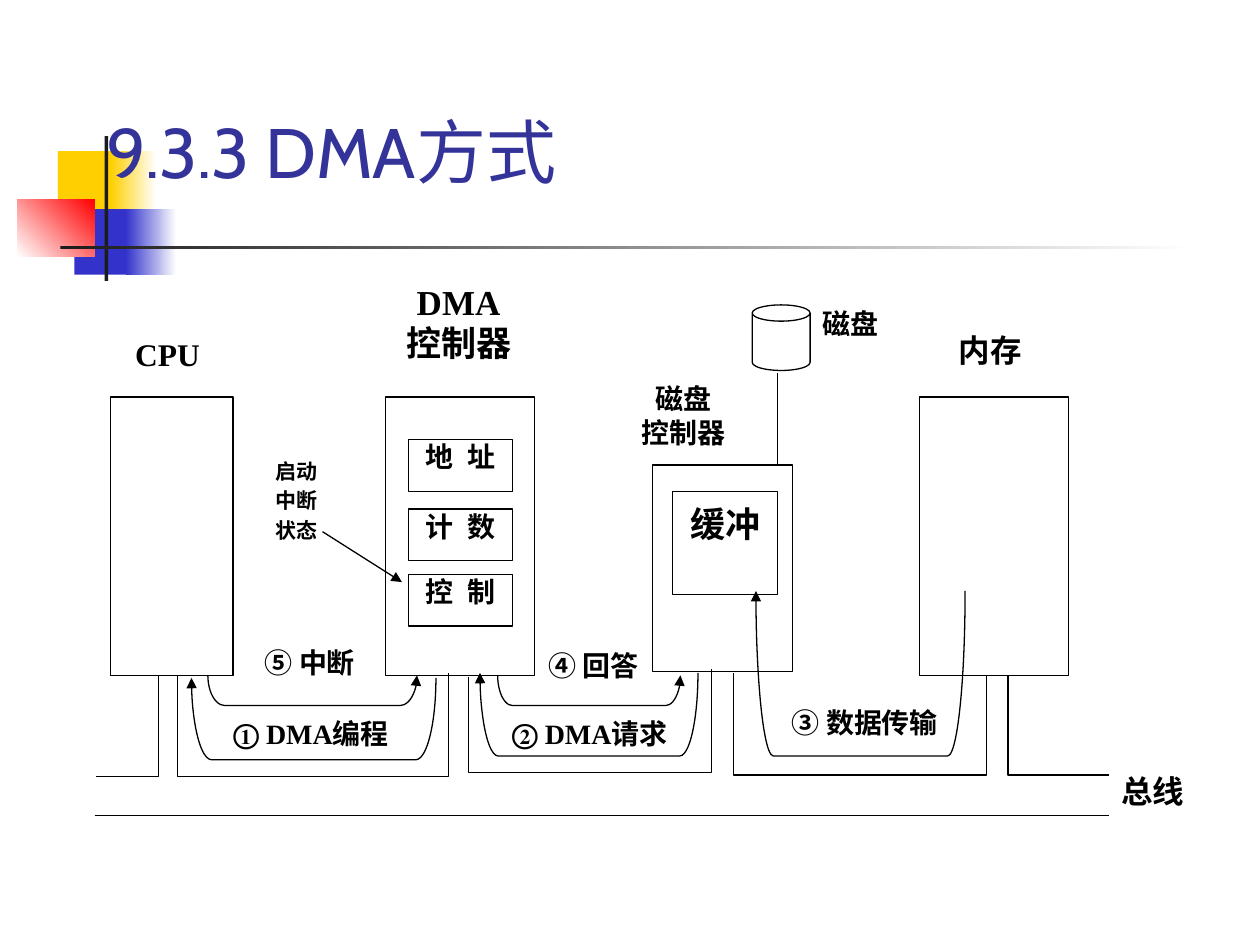
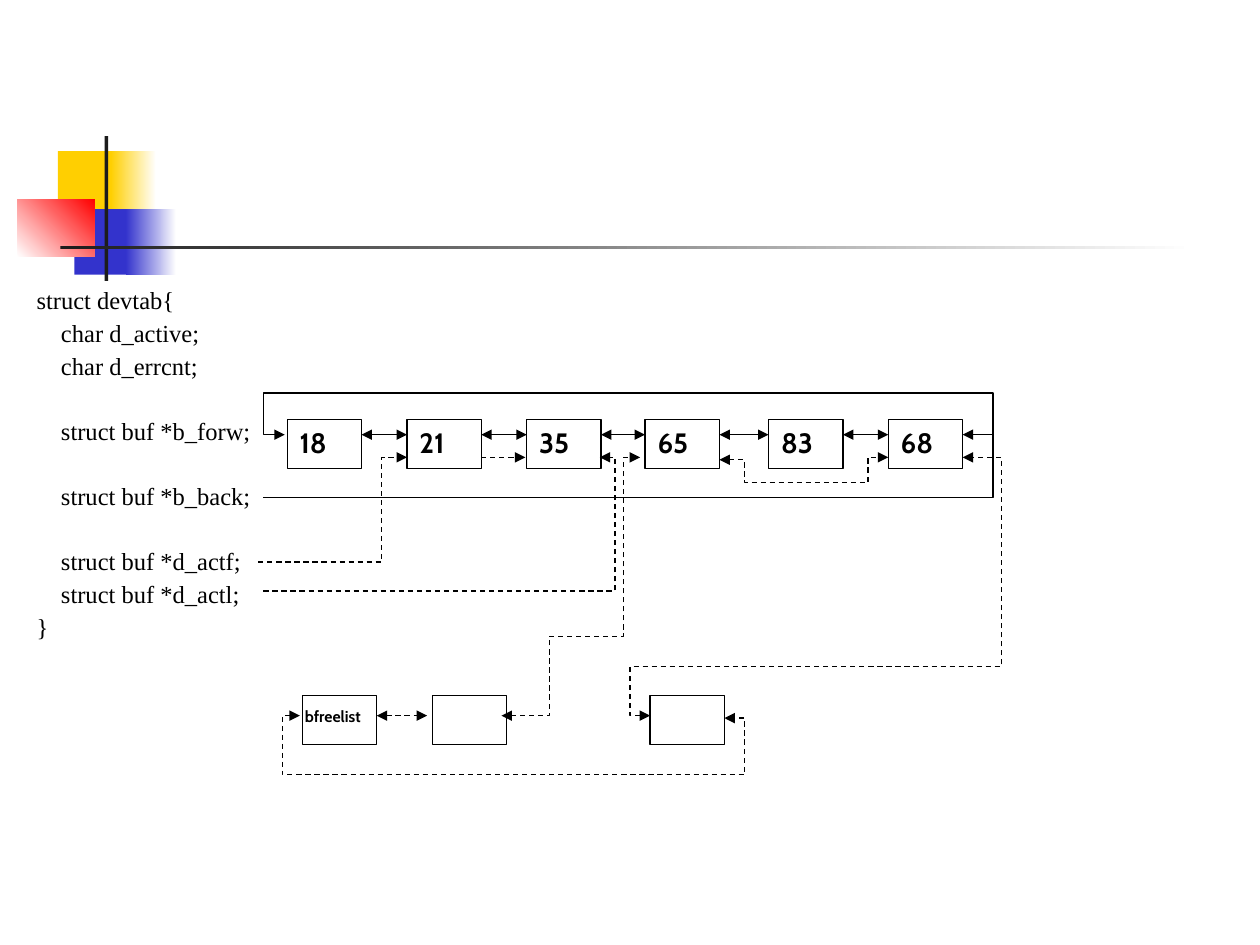
from lxml.etree import SubElement
from pptx import Presentation
from pptx.dml.color import RGBColor
from pptx.enum.dml import MSO_LINE
from pptx.enum.shapes import MSO_CONNECTOR, MSO_SHAPE as SHAPE
from pptx.enum.text import MSO_ANCHOR as ANCHOR, PP_ALIGN as ALIGN
from pptx.oxml.ns import qn
from pptx.util import Inches, Pt

BLACK = RGBColor(0x00, 0x00, 0x00)
WHITE = RGBColor(0xFF, 0xFF, 0xFF)
INK = RGBColor(0x1C, 0x1C, 0x1C)
YELLOW = RGBColor(0xFF, 0xCF, 0x01)
BLUE = RGBColor(0x33, 0x33, 0xCC)
RED = RGBColor(0xFF, 0x00, 0x00)
TITLE_BLUE = RGBColor(0x33, 0x33, 0x99)

SANS = "Cabin"
SERIF = "Times New Roman"
LABEL_INSETS = (0.02, 0.01, 0.02, 0.01)
FIELD_INSETS = (0.02, 0, 0.02, 0)
DEFAULT_INSETS = (0.1, 0.05, 0.1, 0.05)

BLOCK_WIDTH, BLOCK_HEIGHT = 0.59, 0.39
QUEUE_TOP, FREE_TOP = 3.33, 5.52
FORWARD_Y, ACTIVE_Y, FREE_Y = 3.45, 3.63, 5.68


def style_line(shape, dashed=False, head=False, tail=False):
    """Give a shape a thin black outline with optional dashes and arrowheads."""
    shape.line.color.rgb = BLACK
    shape.line.width = Pt(0.75)
    if dashed:
        shape.line.dash_style = MSO_LINE.DASH
    outline = shape.line._get_or_add_ln()
    for wanted, tag in ((head, "a:headEnd"), (tail, "a:tailEnd")):
        if wanted:
            SubElement(outline, qn(tag), type="triangle")


def paint(shape, fill):
    """Fill a shape with a colour, or leave it empty, and drop its shadow."""
    shape.shadow.inherit = False
    if fill is None:
        shape.fill.background()
    else:
        shape.fill.solid()
        shape.fill.fore_color.rgb = fill


def box(slide, place, fill=None, kind=SHAPE.RECTANGLE, outlined=True):
    """Draw a preset shape at left, top, width, height."""
    shape = slide.shapes.add_shape(kind, *map(Inches, place))
    paint(shape, fill)
    if outlined:
        style_line(shape)
    else:
        shape.line.fill.background()
    return shape


def gradient_box(slide, place, start, end, angle=0):
    """Draw a borderless rectangle that fades from start to end."""
    shape = box(slide, place, outlined=False)
    shape.fill.gradient()
    shape.fill.gradient_angle = angle
    for stop, colour in zip(shape.fill.gradient_stops, (start, end)):
        stop.color.rgb = colour


def write(shape, lines, size, font=SERIF, bold=True, colour=BLACK, align=ALIGN.CENTER,
          insets=LABEL_INSETS, anchor=ANCHOR.TOP, wrap=True, gap=0, leading=None, tracking=0):
    """Write one paragraph per line into a shape."""
    frame = shape.text_frame
    frame.word_wrap = wrap
    frame.vertical_anchor = anchor
    (frame.margin_left, frame.margin_top,
     frame.margin_right, frame.margin_bottom) = map(Inches, insets)
    for number, line in enumerate(lines):
        paragraph = frame.add_paragraph() if number else frame.paragraphs[0]
        paragraph.alignment = align
        paragraph.line_spacing = leading
        if number and gap:
            paragraph.space_before = Pt(gap)
        run = paragraph.add_run()
        run.text = line
        run.font.name = font
        run.font.size = Pt(size)
        run.font.bold = bold
        run.font.color.rgb = colour
        if tracking:
            run._r.get_or_add_rPr().set("spc", str(tracking))
    return frame


def text_box(slide, place, lines, size, **style):
    """Place a text box at left, top, width, height."""
    return write(slide.shapes.add_textbox(*map(Inches, place)), lines, size, **style)


def label(slide, place, lines, size=16, **style):
    """Place a bold caption on a white ground."""
    write(box(slide, place, WHITE, outlined=False), lines, size, **style)


def link(slide, start, end, **ends):
    """Join two points by a straight line."""
    line = slide.shapes.add_connector(
        MSO_CONNECTOR.STRAIGHT, *map(Inches, (*start, *end)))
    style_line(line, **ends)
    SubElement(line._element.spPr, qn("a:effectLst"))


def wire(slide, points, fill=None, **ends):
    """Draw an open line with corners through the points."""
    corners = [(Inches(x), Inches(y)) for x, y in points]
    builder = slide.shapes.build_freeform(*corners[0])
    builder.add_line_segments(corners[1:], close=False)
    shape = builder.convert_to_shape()
    paint(shape, fill)
    style_line(shape, **ends)


def return_arrow(slide, left, top, width, height, bend, **ends):
    """Draw a bracket that opens upward within the given frame."""
    middle_x, middle_y = left + width / 2, top + height / 2
    place = (middle_x - height / 2, middle_y - width / 2, height, width)
    bracket = box(slide, place, kind=SHAPE.LEFT_BRACKET)
    bracket.adjustments[0] = bend
    bracket.rotation = 270
    style_line(bracket, **ends)


def new_slide(deck):
    """Add a blank slide with the coloured corner squares and the rules."""
    slide = deck.slides.add_slide(deck.slide_layouts[6])
    box(slide, (0.46, 1.2, 0.48, 0.52), YELLOW, outlined=False)
    gradient_box(slide, (0.88, 1.2, 0.36, 0.52), YELLOW, WHITE)
    box(slide, (0.59, 1.66, 0.46, 0.52), BLUE, outlined=False)
    gradient_box(slide, (1, 1.66, 0.4, 0.52), BLUE, WHITE)
    gradient_box(slide, (0.14, 1.58, 0.61, 0.46), WHITE, RED, 45)
    box(slide, (0.83, 1.08, 0.03, 1.15), INK, outlined=False)
    gradient_box(slide, (0.48, 1.95, 9, 0.03), INK, WHITE)
    return slide


def draw_bus(slide):
    """Draw the bus lines that join the units."""
    wire(slide, [(1.26, 5.34), (1.26, 6.16), (0.76, 6.16)], WHITE)
    wire(slide, [(1.41, 5.34), (1.41, 6.16), (3.56, 6.16), (3.56, 5.34)], WHITE)
    wire(slide, [(3.72, 5.37), (3.72, 6.13), (5.65, 6.13), (5.65, 5.31)], WHITE)
    wire(slide, [(5.82, 5.34), (5.82, 6.15), (7.83, 6.15), (7.83, 5.34)])
    wire(slide, [(8, 5.34), (8, 6.15), (8.8, 6.15)], WHITE)
    link(slide, (0.75, 6.47), (8.8, 6.47))
    text_box(slide, (8.88, 6.12, 0.71, 0.55), ["总线"], 18, align=ALIGN.LEFT)


def draw_units(slide):
    """Draw the CPU, the controllers, the disk and the memory."""
    box(slide, (0.88, 3.15, 0.97, 2.21), WHITE)
    box(slide, (7.3, 3.15, 1.18, 2.21), WHITE)
    box(slide, (3.06, 3.15, 1.18, 2.21))
    for top, register in ((3.49, "地 址"), (4.04, "计 数"), (4.56, "控 制")):
        write(box(slide, (3.24, top, 0.83, 0.41), WHITE), [register], 16,
              insets=FIELD_INSETS, tracking=200)
    box(slide, (5.18, 3.69, 1.11, 1.64))
    write(box(slide, (5.34, 3.9, 0.83, 0.82), WHITE), ["缓冲"], 20,
          insets=(0.02, 0.09, 0.02, 0.05))
    disk = box(slide, (5.97, 2.42, 0.46, 0.52), WHITE, SHAPE.CAN)
    disk.adjustments[0] = 0.28
    link(slide, (6.17, 2.96), (6.17, 3.69))


def dma_slide(deck):
    """Build the diagram of a DMA transfer."""
    slide = new_slide(deck)
    text_box(slide, (0.75, 0.5, 8.5, 1.08), ["9.3.3 DMA方式"], 40, font=SANS, bold=False,
             colour=TITLE_BLUE, align=ALIGN.LEFT, insets=DEFAULT_INSETS, anchor=ANCHOR.BOTTOM)
    draw_bus(slide)
    draw_units(slide)

    label(slide, (0.94, 2.65, 0.78, 0.43), ["CPU"], 18)
    label(slide, (3.19, 2.25, 0.9, 0.75), ["DMA", "控制器"], 20,
          insets=FIELD_INSETS, leading=0.96)
    label(slide, (7.41, 2.62, 0.9, 0.46), ["内存"], 18)
    label(slide, (6.51, 2.42, 0.61, 0.52), ["磁盘"], align=ALIGN.LEFT)
    label(slide, (5.02, 3.02, 0.81, 0.65), ["磁盘", "控制器"])
    label(slide, (1.83, 5.68, 1.33, 0.32), ["① DMA编程"], align=ALIGN.LEFT)
    label(slide, (3.95, 5.68, 1.46, 0.32), ["② DMA请求"])
    label(slide, (6.23, 5.59, 1.27, 0.41), ["③ 数据传输"], insets=(0, 0.01, 0, 0.01))
    label(slide, (4.26, 5.14, 0.9, 0.41), ["④ 回答"])
    label(slide, (1.95, 5.11, 1.02, 0.4), ["⑤ 中断"])

    return_arrow(slide, 1.52, 5.38, 1.94, 0.65, 0.246, tail=True)
    return_arrow(slide, 3.81, 5.34, 1.73, 0.66, 0.22, tail=True)
    return_arrow(slide, 6, 4.69, 1.66, 1.31, 0.106, tail=True)
    return_arrow(slide, 3.95, 5.36, 1.45, 0.24, 0.495, head=True)
    return_arrow(slide, 1.65, 5.36, 1.66, 0.24, 0.566, head=True)

    text_box(slide, (2.09, 3.59, 0.71, 0.78), ["启动", "中断", "状态"], 12, font=SANS,
             align=ALIGN.LEFT, insets=DEFAULT_INSETS, gap=2.4)
    link(slide, (2.56, 4.22), (3.19, 4.62), tail=True)


def write_struct(slide):
    """Write the devtab declaration, with wider gaps before some members."""
    code = ["struct devtab{", "    char d_active;", "    char d_errcnt;",
            "    struct buf *b_forw;", "    struct buf *b_back;",
            "    struct buf *d_actf;", "    struct buf *d_actl;", "}"]
    frame = text_box(slide, (0.29, 2.21, 1.74, 2.9), code, 14, bold=False, align=ALIGN.LEFT,
                     insets=(0, 0.05, 0, 0.05), wrap=False, gap=2.1)
    for member in frame.paragraphs[3:6]:
        member.space_before = Pt(20.3)


def buffer_slide(deck):
    """Build the diagram of the device table and its buffer queues."""
    slide = new_slide(deck)
    write_struct(slide)
    both = {"head": True, "tail": True}

    queue = {"18": 2.28, "21": 3.23, "35": 4.18, "65": 5.12, "83": 6.1, "68": 7.05}
    for block, left in queue.items():
        write(box(slide, (left, QUEUE_TOP, BLOCK_WIDTH, BLOCK_HEIGHT)), [block], 16,
              font=SANS, align=ALIGN.LEFT, insets=DEFAULT_INSETS)
    lefts = list(queue.values())
    for left, following in zip(lefts, lefts[1:]):
        link(slide, (left + BLOCK_WIDTH, FORWARD_Y), (following, FORWARD_Y), **both)
    link(slide, (3.82, ACTIVE_Y), (4.17, ACTIVE_Y), dashed=True, tail=True)

    free_list, *_ = [box(slide, (left, FREE_TOP, BLOCK_WIDTH, BLOCK_HEIGHT))
                     for left in (2.4, 3.43, 5.16)]
    write(free_list, ["bfreelist"], 9, font=SANS, align=ALIGN.LEFT,
          insets=(0.02, 0.09, 0.02, 0.09))
    link(slide, (2.99, FREE_Y), (3.39, FREE_Y), dashed=True, **both)

    wire(slide, [(2.26, FORWARD_Y), (2.09, FORWARD_Y), (2.09, 3.12), (7.88, 3.12),
                 (7.88, FORWARD_Y), (7.64, FORWARD_Y)], **both)
    wire(slide, [(2.09, 3.95), (7.88, 3.95), (7.88, 3.44)])

    two_way = [
        [(2.38, FREE_Y), (2.24, FREE_Y), (2.24, 6.15), (5.91, 6.15), (5.91, 5.7), (5.75, 5.7)],
        [(5.71, 3.65), (5.91, 3.65), (5.91, 3.83), (6.89, 3.83),
         (6.89, ACTIVE_Y), (7.05, ACTIVE_Y)],
        [(3.98, FREE_Y), (4.36, FREE_Y), (4.36, 5.05), (4.95, 5.05),
         (4.95, ACTIVE_Y), (5.08, ACTIVE_Y)],
        [(5.16, FREE_Y), (5, FREE_Y), (5, 5.29), (7.95, 5.29),
         (7.95, ACTIVE_Y), (7.64, ACTIVE_Y)],
    ]
    for points in two_way:
        wire(slide, points, dashed=True, **both)
    for start_x, start_y, turn_x, end_x in ((2.05, 4.46, 3.03, 3.23), (2.09, 4.69, 4.88, 4.76)):
        wire(slide, [(start_x, start_y), (turn_x, start_y), (turn_x, ACTIVE_Y),
                     (end_x, ACTIVE_Y)], dashed=True, tail=True)


def main():
    """Build both slides and save the deck."""
    deck = Presentation()
    deck.slide_width, deck.slide_height = Inches(10), Inches(7.5)
    dma_slide(deck)
    buffer_slide(deck)
    deck.save("out.pptx")


if __name__ == "__main__":
    main()
